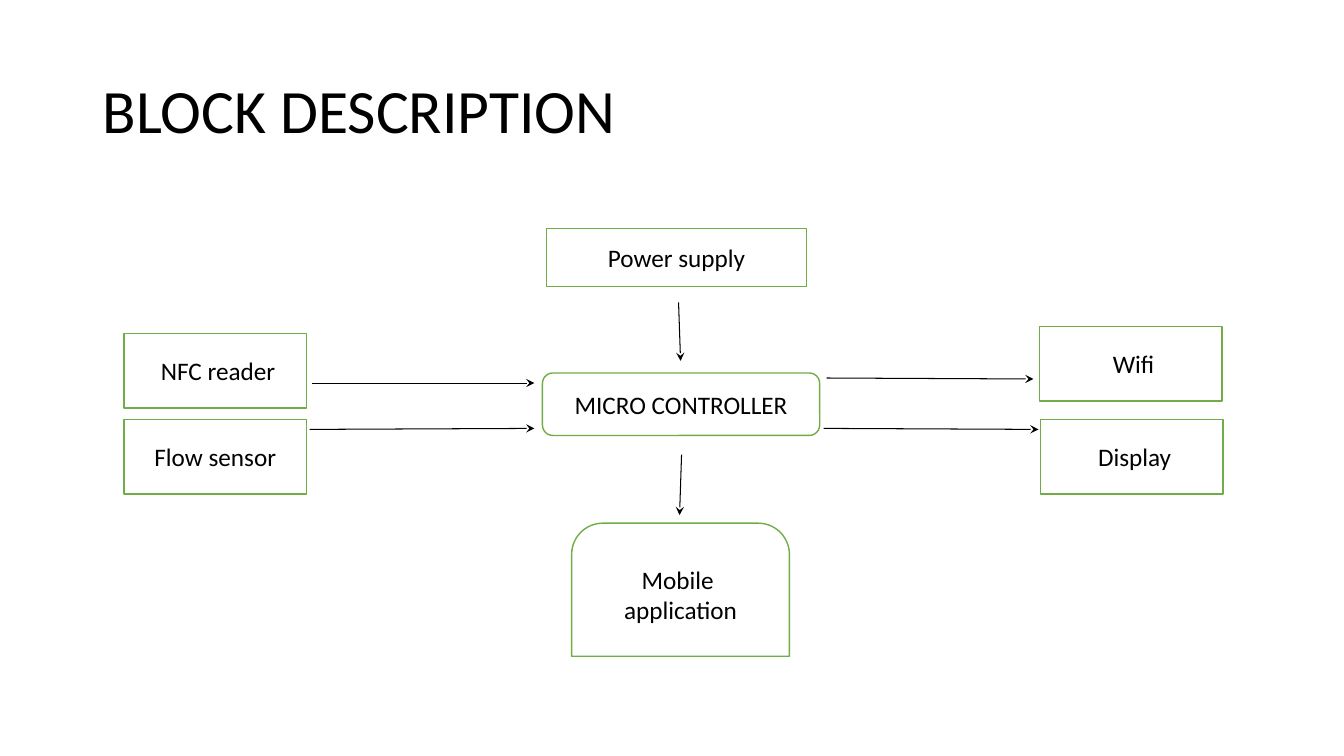
"""Build the block description slide: a controller with its inputs and outputs."""
from lxml import etree
from pptx import Presentation
from pptx.dml.color import RGBColor
from pptx.enum.shapes import MSO_CONNECTOR, MSO_SHAPE
from pptx.enum.text import MSO_ANCHOR, PP_ALIGN
from pptx.oxml.ns import qn
from pptx.util import Inches, Pt

RECTANGLE = MSO_SHAPE.RECTANGLE
ROUNDED = MSO_SHAPE.ROUNDED_RECTANGLE
ROUND_TOP = MSO_SHAPE.ROUND_2_SAME_RECTANGLE
STRAIGHT = MSO_CONNECTOR.STRAIGHT
CENTER, LEFT = PP_ALIGN.CENTER, PP_ALIGN.LEFT
MIDDLE = MSO_ANCHOR.MIDDLE

FONT = "Calibri"
COLORS = {"text": "000000", "fill": "FFFFFF", "border": "70AD47", "arrow": "000000"}
SLIDE_SIZE = (13.33, 7.5)
TITLE = "BLOCK DESCRIPTION"
TITLE_BOX = (0.92, 0.4, 11.5, 1.45)

INPUT_LEFT, OUTPUT_LEFT = 1.23, 10.31
LOWER_ROW = 4.16
SIDE_SIZE = (1.81, 0.74)
BLOCKS = [
    (" NFC reader", RECTANGLE, (INPUT_LEFT, 3.31, *SIDE_SIZE), []),
    ("Flow sensor", RECTANGLE, (INPUT_LEFT, LOWER_ROW, *SIDE_SIZE), []),
    ("Power supply", RECTANGLE, (5.42, 2.27, 2.58, 0.57), []),
    ("MICRO CONTROLLER", ROUNDED, (5.38, 3.7, 2.75, 0.62), [0.167]),
    ("Mobile \napplication", ROUND_TOP, (5.67, 5.19, 2.16, 1.32), [0.234, 0]),
    (" Wifi", RECTANGLE, (OUTPUT_LEFT, 3.24, *SIDE_SIZE), []),
    (" Display", RECTANGLE, (OUTPUT_LEFT + 0.01, LOWER_ROW, *SIDE_SIZE), []),
]
INPUT_ARROWS = [(3.09, 3.8, 5.3, 3.8), (3.07, 4.26, 5.3, 4.25)]
VERTICAL_ARROWS = [(6.73, 3, 6.75, 3.58), (6.76, 4.51, 6.74, 5.11)]
OUTPUT_ARROWS = [(8.2, 3.75, 10.25, 3.76), (8.17, 4.25, 10.3, 4.26)]


def color(name):
    return RGBColor.from_string(COLORS[name])


def inches(lengths):
    return [Inches(length) for length in lengths]


def format_paragraph(paragraph, size, alignment):
    paragraph.alignment = alignment
    paragraph.font.name = FONT
    paragraph.font.size = Pt(size)
    paragraph.font.color.rgb = color("text")


def add_title(slide):
    title = slide.shapes.title
    title.left, title.top, title.width, title.height = inches(TITLE_BOX)
    title.text_frame.text = TITLE
    title.text_frame.vertical_anchor = MIDDLE
    paragraph = title.text_frame.paragraphs[0]
    paragraph.line_spacing = 0.9
    format_paragraph(paragraph, 44, LEFT)


def add_block(slide, text, kind, box, adjustments):
    block = slide.shapes.add_shape(kind, *inches(box))
    block.shadow.inherit = False
    for index, value in enumerate(adjustments):
        block.adjustments[index] = value
    block.fill.solid()
    block.fill.fore_color.rgb = color("fill")
    block.line.color.rgb = color("border")
    block.line.width = Pt(1)
    block.text_frame.word_wrap = True
    block.text_frame.vertical_anchor = MIDDLE
    block.text_frame.text = text
    for paragraph in block.text_frame.paragraphs:
        format_paragraph(paragraph, 18, CENTER)


def add_arrow(slide, ends):
    arrow = slide.shapes.add_connector(STRAIGHT, *inches(ends))
    arrow.line.color.rgb = color("arrow")
    arrow.line.width = Pt(0.75)
    line = arrow._element.spPr.find(qn("a:ln"))
    etree.SubElement(line, qn("a:tailEnd"), type="stealth")
    etree.SubElement(arrow._element.spPr, qn("a:effectLst"))


def main():
    presentation = Presentation()
    presentation.slide_width, presentation.slide_height = inches(SLIDE_SIZE)
    slide = presentation.slides.add_slide(presentation.slide_layouts.get_by_name("Title Only"))
    add_title(slide)
    for block in BLOCKS:
        add_block(slide, *block)
    for ends in INPUT_ARROWS + VERTICAL_ARROWS + OUTPUT_ARROWS:
        add_arrow(slide, ends)
    presentation.save("out.pptx")


if __name__ == "__main__":
    main()
